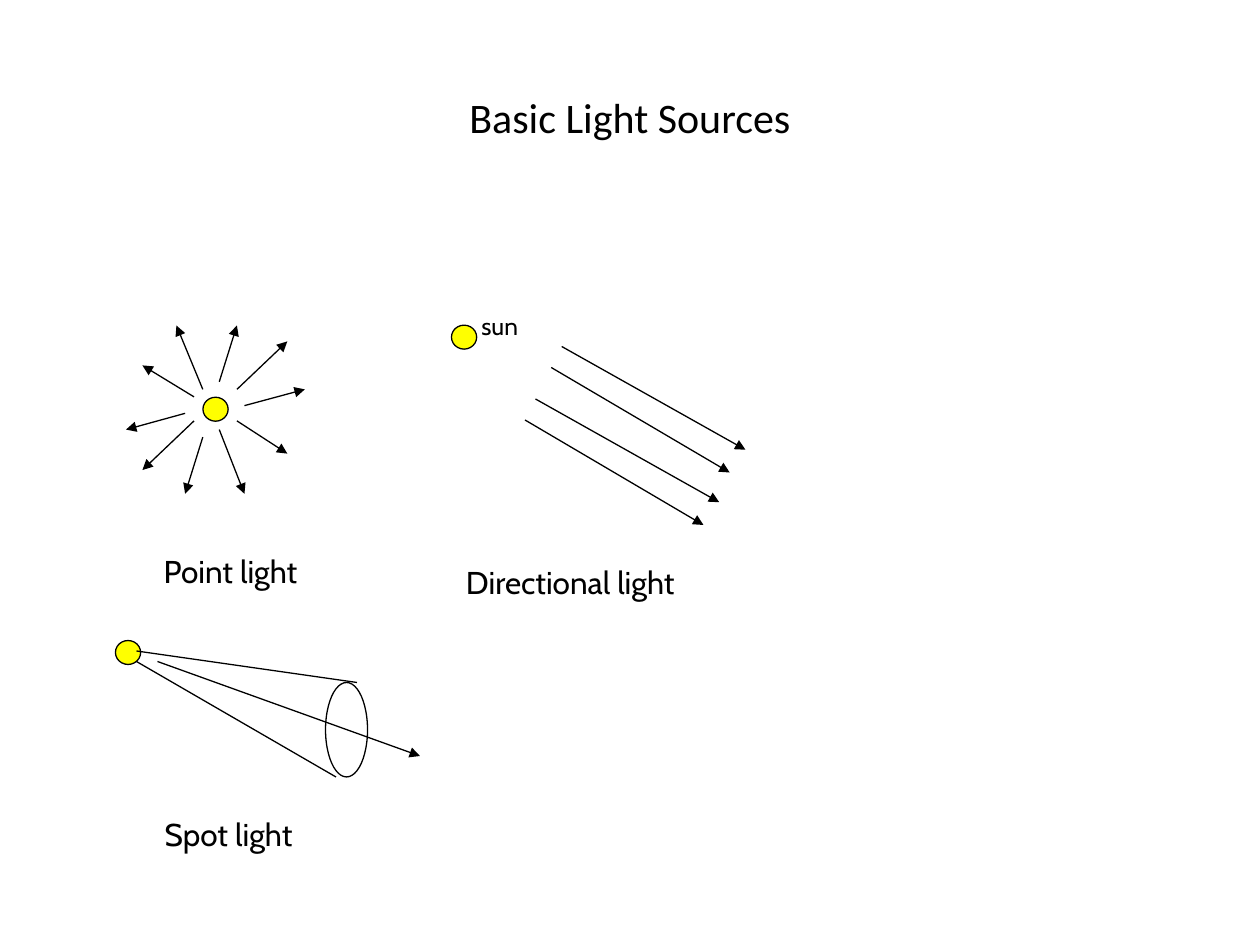
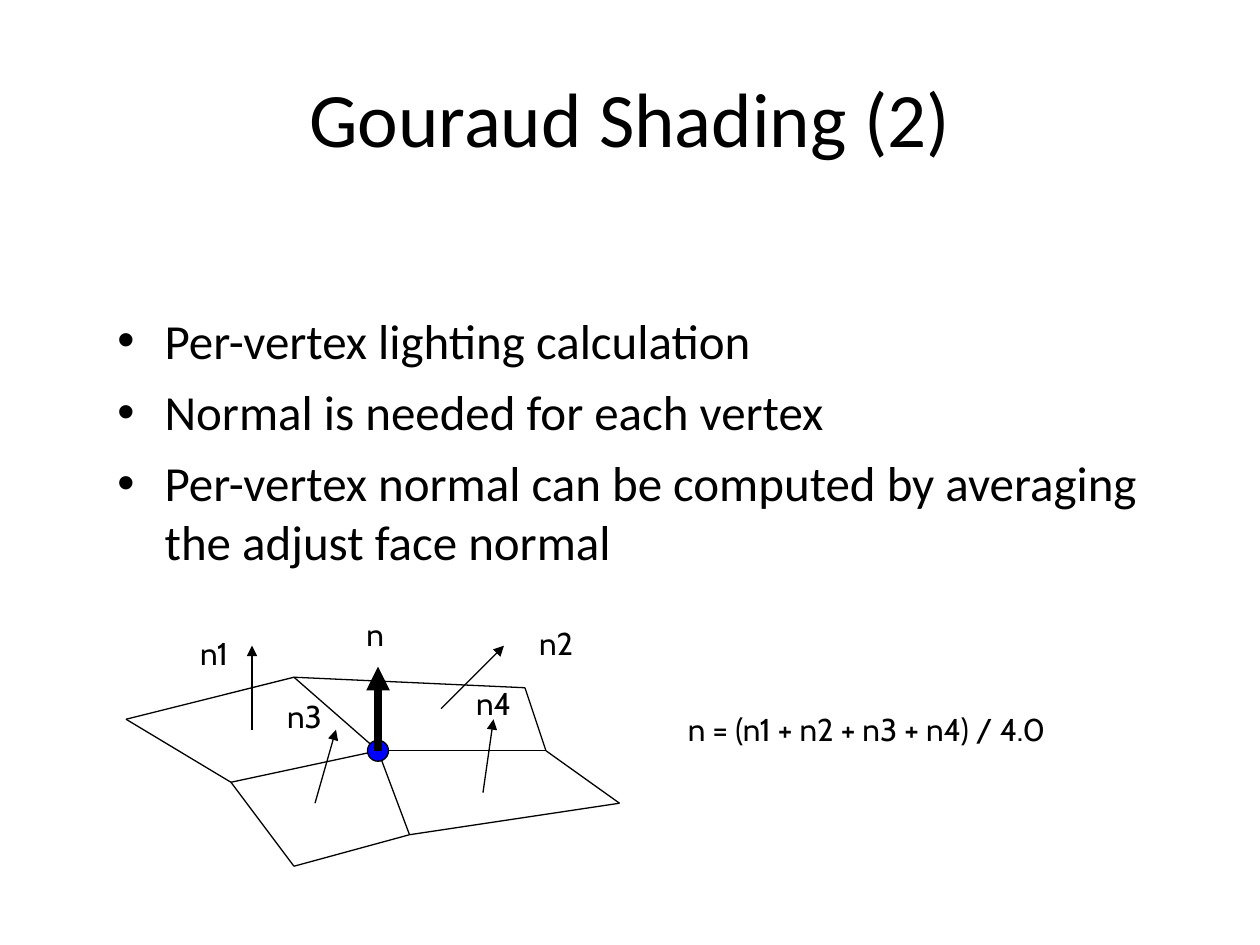
import pptx
import pptx.dml.color
import pptx.enum.shapes
import pptx.enum.text
import pptx.oxml
import pptx.oxml.ns
import pptx.util

Pt = pptx.util.Pt
BLACK, YELLOW, BLUE = "000000", "FFFF00", "0000FF"
TITLE_FONT, LABEL_FONT = "Calibri", "Cabin"
BULB = (14.4, 13.7)


def rgb(color):
    """Turn a hex string into a colour."""
    return pptx.dml.color.RGBColor.from_string(color)


def add_run(p, text, size, font):
    """Add one black run to a paragraph."""
    r = p.add_run()
    r.text = text
    r.font.size = Pt(size)
    r.font.name = font
    r.font.color.rgb = rgb(BLACK)


def add_xml(parent, tag, **attrs):
    """Append a drawing element with attributes."""
    el = pptx.oxml.parse_xml(f"<a:{tag} {pptx.oxml.ns.nsdecls('a')}/>")
    for name, value in attrs.items():
        el.set(name, value)
    parent.append(el)


def add_line(s, box, start, end, arrow=False, width=0.75):
    """Draw a line between two points of a box."""
    x, y = box
    sp = s.shapes.add_connector(
        pptx.enum.shapes.MSO_CONNECTOR.STRAIGHT,
        Pt(x + start[0]), Pt(y + start[1]), Pt(x + end[0]), Pt(y + end[1]))
    sp.line.color.rgb = rgb(BLACK)
    sp.line.width = Pt(width)
    if arrow:
        add_xml(sp.line._get_or_add_ln(), "tailEnd", type="triangle")
    add_xml(sp._element.spPr, "effectLst")


def add_ellipse(s, box, at, size, fill=None):
    """Draw an outlined ellipse, filled if a colour is given."""
    sp = s.shapes.add_shape(
        pptx.enum.shapes.MSO_SHAPE.OVAL,
        Pt(box[0] + at[0]), Pt(box[1] + at[1]), Pt(size[0]), Pt(size[1]))
    sp.shadow.inherit = False
    if fill:
        sp.fill.solid()
        sp.fill.fore_color.rgb = rgb(fill)
    else:
        sp.fill.background()
    sp.line.color.rgb = rgb(BLACK)
    sp.line.width = Pt(0.75)


def add_label(s, box, at, width, text, size=18):
    """Place a one-line label in a box."""
    sp = s.shapes.add_textbox(
        Pt(box[0] + at[0]), Pt(box[1] + at[1]), Pt(width), Pt(size * 1.2 + 7.2))
    tf = sp.text_frame
    tf.word_wrap = False
    tf.auto_size = pptx.enum.text.MSO_AUTO_SIZE.SHAPE_TO_FIT_TEXT
    add_run(tf.paragraphs[0], text, size, LABEL_FONT)


def add_titled_slide(prs, title, size):
    """Add a slide with a centred title."""
    s = prs.slides.add_slide(prs.slide_layouts[5])
    sp = s.shapes.title
    sp.left, sp.top, sp.width, sp.height = Pt(36), Pt(21.6), Pt(648), Pt(90)
    tf = sp.text_frame
    tf.auto_size = pptx.enum.text.MSO_AUTO_SIZE.NONE
    tf.vertical_anchor = pptx.enum.text.MSO_ANCHOR.MIDDLE
    p = tf.paragraphs[0]
    p.alignment = pptx.enum.text.PP_ALIGN.CENTER
    add_run(p, title, size, TITLE_FONT)
    return s


def add_point_light(s, box):
    """Draw a bulb with rays in all directions."""
    add_ellipse(s, box, (44, 41), BULB, YELLOW)
    rays = [
        ((53.3, 32.2), (63.4, 0)), ((63.4, 36.5), (92.2, 9.1)),
        ((67.7, 45.8), (102.2, 36.5)), ((63.4, 54.5), (92.2, 73.2)),
        ((53.3, 59.5), (67.7, 96.2)), ((38.9, 40.8), (9.4, 22.8)),
        ((43.9, 63.8), (33.8, 96.2)), ((38.9, 54.5), (9.4, 82.6)),
        ((33.8, 50.2), (0, 59.5)), ((43.9, 36.5), (28.8, 0)),
    ]
    for start, end in rays:
        add_line(s, box, start, end, arrow=True)
    add_label(s, box, (14.4, 126), 100.8, "Point light")


def add_directional_light(s, box):
    """Draw the sun and its parallel rays."""
    add_ellipse(s, box, (0, 11.8), BULB, YELLOW)
    add_label(s, box, (10, 0), 38.2, "sun", 14)
    for shift in range(2):
        for x, y, dx, dy in ((63, 24, 105, 59), (57, 36, 102, 60)):
            x, y = x - 15 * shift, y + 30 * shift
            add_line(s, box, (x, y), (x + dx, y + dy), arrow=True)
    add_label(s, box, (1.2, 144.2), 149, "Directional light")


def add_spot_light(s, box):
    """Draw a bulb, its cone and the cone axis."""
    add_ellipse(s, box, (0, 0), BULB, YELLOW)
    add_line(s, box, (12, 6), (138, 24))
    add_line(s, box, (12, 12), (126, 78))
    add_ellipse(s, box, (120, 24), (24, 54))
    add_line(s, box, (24, 12), (174, 66), arrow=True)
    add_label(s, box, (21, 96.2), 95, "Spot light")


def add_bullets(s, box, size, items):
    """Place a bulleted list in a box."""
    sp = s.shapes.add_textbox(*map(Pt, box + size))
    tf = sp.text_frame
    tf.word_wrap = True
    for i, item in enumerate(items):
        p = tf.add_paragraph() if i else tf.paragraphs[0]
        pPr = p._p.get_or_add_pPr()
        pPr.set("marL", str(Pt(27)))
        pPr.set("indent", str(-Pt(27)))
        add_xml(pPr, "buFont", typeface="Arial")
        add_xml(pPr, "buChar", char="•")
        if i:
            p.space_before = Pt(7)
        add_run(p, item, 28, TITLE_FONT)


def add_mesh(s, box):
    """Draw four faces with their normals and the averaged vertex normal."""
    vertices = {
        "A": (0, 63), "B": (96, 39), "C": (60, 99), "D": (144, 81), "E": (228, 45),
        "F": (240, 81), "G": (96, 147), "H": (162, 129), "I": (282, 111),
    }
    for a, b in "AB AC CD BD BE DF EF CG GH DH HI FI".split():
        add_line(s, box, vertices[a], vertices[b])
    face_normals = [
        ((72, 69), (72, 21)), ((180, 57), (216, 21)),
        ((108, 111), (120, 69)), ((204, 105), (210, 63)),
    ]
    for start, end in face_normals:
        add_line(s, box, start, end, arrow=True)
    x, y = vertices["D"]
    add_ellipse(s, box, (x - 6, y - 6), (12, 12), BLUE)
    add_line(s, box, (x, y), (x, 33), arrow=True, width=4.5)
    add_label(s, box, (130.3, 0), 25.2, "n")
    spots = [(35.3, 10.6), (229, 5), (85, 46.6), (193, 39.6)]
    for i, at in enumerate(spots, 1):
        add_label(s, box, at, 36, f"n{i}")
    add_label(s, box, (314, 54), 247, "n = (n1 + n2 + n3 + n4) / 4.0")


def main():
    """Build and save both slides."""
    prs = pptx.Presentation()
    prs.slide_width, prs.slide_height = Pt(720), Pt(540)

    s = add_titled_slide(prs, "Basic Light Sources", 24)
    add_point_light(s, (72, 186))
    add_directional_light(s, (258, 174))
    add_spot_light(s, (66, 366))

    s = add_titled_slide(prs, "Gouraud Shading (2)", 44)
    add_bullets(s, (60, 174), (612, 324), [
        "Per-vertex lighting calculation",
        "Normal is needed for each vertex",
        "Per-vertex normal can be computed by averaging the adjust face normal",
    ])
    add_mesh(s, (72, 348))
    prs.save("out.pptx")


if __name__ == "__main__":
    main()
